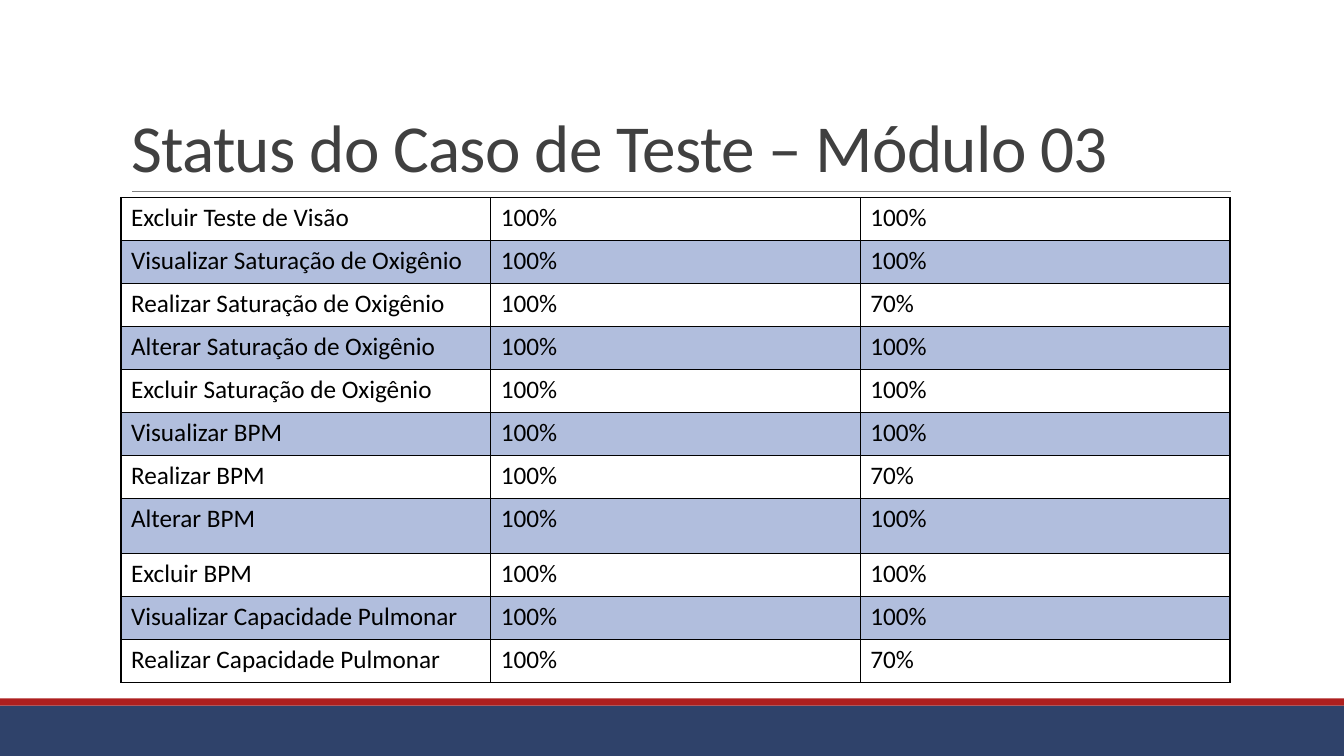
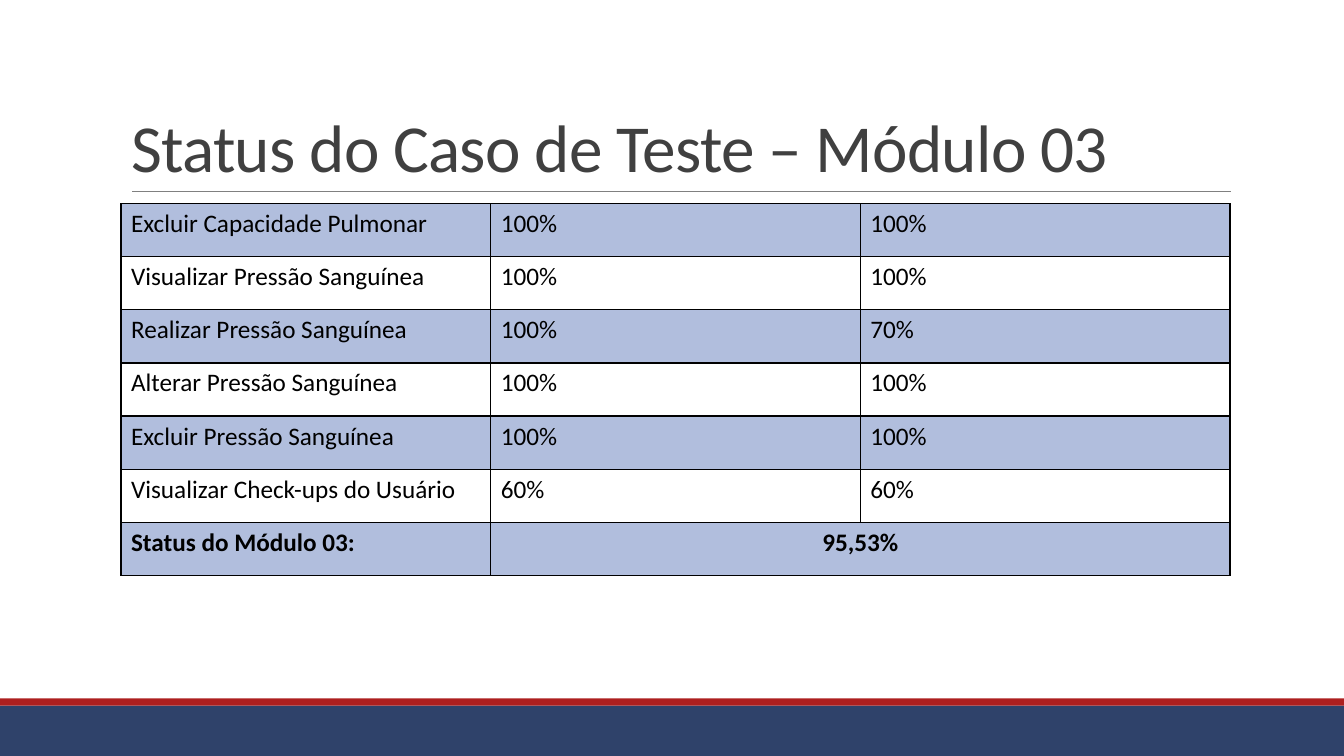
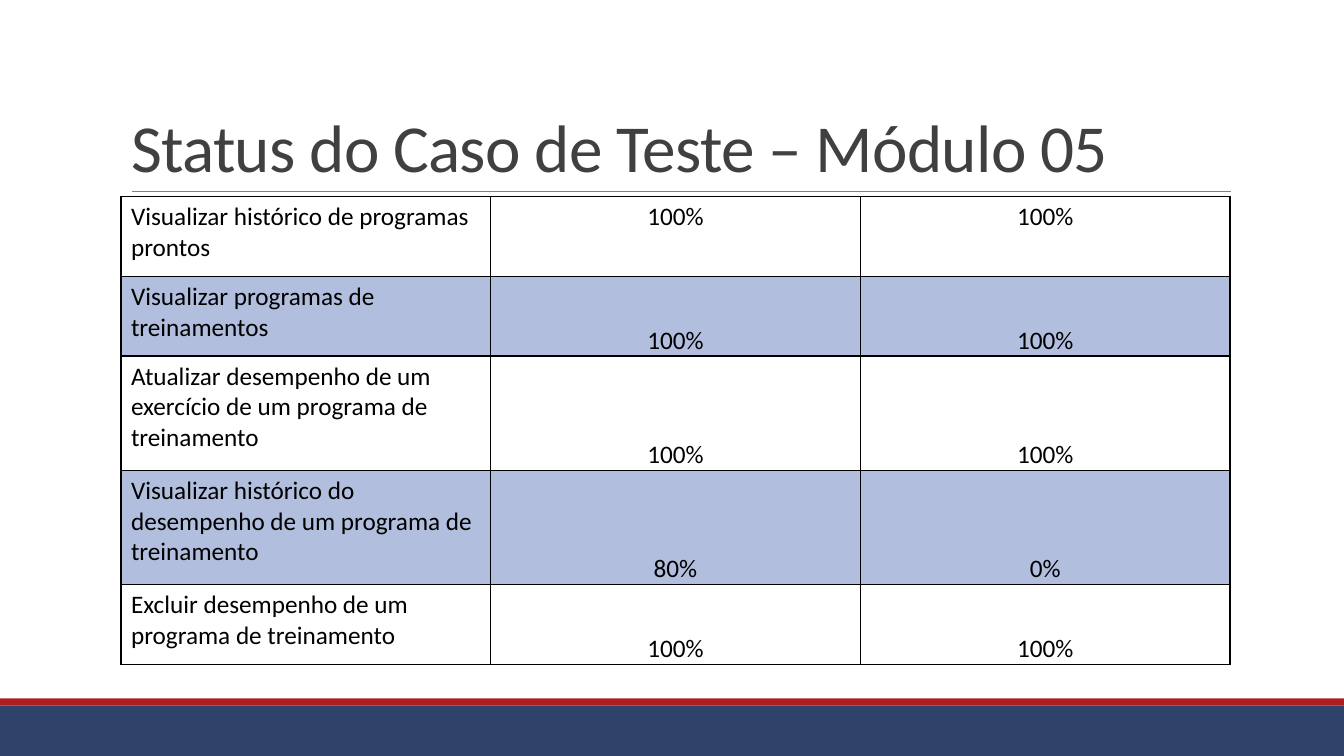
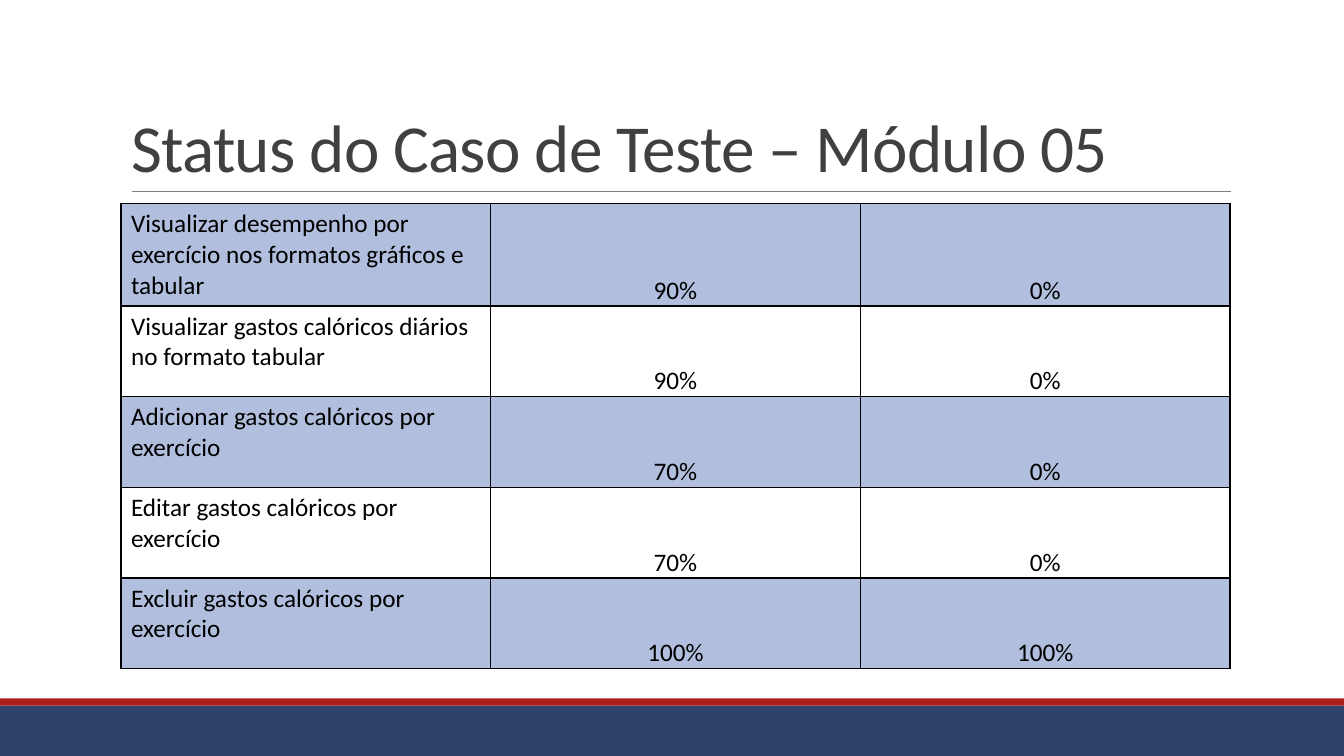
from lxml import etree
from pptx import Presentation
from pptx.dml.color import RGBColor
from pptx.enum.shapes import MSO_CONNECTOR, MSO_SHAPE
from pptx.enum.text import MSO_ANCHOR, MSO_AUTO_SIZE, PP_ALIGN
from pptx.oxml.ns import qn
from pptx.util import Inches, Pt

STRAIGHT, RECTANGLE = MSO_CONNECTOR.STRAIGHT, MSO_SHAPE.RECTANGLE
TOP, BOTTOM = MSO_ANCHOR.TOP, MSO_ANCHOR.BOTTOM
LEFT, CENTER = PP_ALIGN.LEFT, PP_ALIGN.CENTER
NO_FIT = MSO_AUTO_SIZE.NONE

NAVY = RGBColor(0x2F, 0x42, 0x6A)
RED = RGBColor(0xAD, 0x1F, 0x1F)
GRAY = RGBColor(0x80, 0x80, 0x80)
CHARCOAL = RGBColor(0x40, 0x40, 0x40)
BLACK = RGBColor(0, 0, 0)
LAVENDER = RGBColor(0xB1, 0xBE, 0xDD)
FONT = "Calibri"

SLIDE_W, SLIDE_H = 13.33, 7.5
MARGIN, CONTENT_W = 1.2, 11
RULE_Y = 1.9
TITLE_H = 1.59
BANDS = [(7, 0.5, NAVY), (6.93, 0.07, RED)]
TIGHT_INSET = 0.01

STATUS_SLIDES = [
    {
        "title": "Status do Caso de Teste – Módulo 03",
        "top": 1.96, "height": 4.81,
        "row_shares": [0.43] * 7 + [0.55] + [0.43] * 3,
        "first_shaded": 1, "align": LEFT, "low_from": None,
        "rows": [
            ("Excluir Teste de Visão", "100%", "100%"),
            ("Visualizar Saturação de Oxigênio", "100%", "100%"),
            ("Realizar Saturação de Oxigênio", "100%", "70%"),
            ("Alterar Saturação de Oxigênio", "100%", "100%"),
            ("Excluir Saturação de Oxigênio", "100%", "100%"),
            ("Visualizar BPM", "100%", "100%"),
            ("Realizar BPM", "100%", "70%"),
            ("Alterar BPM", "100%", "100%"),
            ("Excluir BPM", "100%", "100%"),
            ("Visualizar Capacidade Pulmonar", "100%", "100%"),
            ("Realizar Capacidade Pulmonar", "100%", "70%"),
        ],
    },
    {
        "title": "Status do Caso de Teste – Módulo 03",
        "top": 2.02, "height": 3.69,
        "row_shares": [1] * 7,
        "first_shaded": 0, "align": LEFT, "low_from": None,
        "rows": [
            ("Excluir Capacidade Pulmonar", "100%", "100%"),
            ("Visualizar Pressão Sanguínea", "100%", "100%"),
            ("Realizar Pressão Sanguínea", "100%", "70%"),
            ("Alterar Pressão Sanguínea", "100%", "100%"),
            ("Excluir Pressão Sanguínea", "100%", "100%"),
            ("Visualizar Check-ups do Usuário", "60%", "60%"),
            ("Status do Módulo 03:", "95,53%"),
        ],
    },
    {
        "title": "Status do Caso de Teste – Módulo 05",
        "top": 1.95, "height": 4.64,
        "row_shares": [0.79, 0.79, 1.13, 1.13, 0.79],
        "first_shaded": 1, "align": CENTER, "low_from": 1,
        "rows": [
            ("Visualizar histórico de programas prontos", "100%", "100%"),
            ("Visualizar programas de treinamentos", "100%", "100%"),
            ("Atualizar desempenho de um exercício de um programa de treinamento", "100%", "100%"),
            ("Visualizar histórico do desempenho de um programa de treinamento", "80%", "0%"),
            ("Excluir desempenho de um programa de treinamento", "100%", "100%"),
        ],
    },
    {
        "title": "Status do Caso de Teste – Módulo 05",
        "top": 2.02, "height": 4.61,
        "row_shares": [1.01] + [0.9] * 4,
        "first_shaded": 0, "align": CENTER, "low_from": 0,
        "rows": [
            ("Visualizar desempenho por exercício nos formatos gráficos e tabular", "90%", "0%"),
            ("Visualizar gastos calóricos diários no formato tabular", "90%", "0%"),
            ("Adicionar gastos calóricos por exercício", "70%", "0%"),
            ("Editar gastos calóricos por exercício", "70%", "0%"),
            ("Excluir gastos calóricos por exercício", "100%", "100%"),
        ],
    },
]


def decorate_layout(layout, slide):
    for placeholder in list(layout.placeholders):
        if placeholder.placeholder_format.idx:
            placeholder.element.getparent().remove(placeholder.element)
    decorations = []
    for top, height, color in BANDS:
        band = slide.shapes.add_shape(
            RECTANGLE, 0, Inches(top), Inches(SLIDE_W), Inches(height))
        band.shadow.inherit = False
        band.fill.solid()
        band.fill.fore_color.rgb = color
        band.line.fill.background()
        decorations.append(band)
    rule = slide.shapes.add_connector(
        STRAIGHT, Inches(1.31), Inches(RULE_Y), Inches(12.21), Inches(RULE_Y))
    rule.line.color.rgb = GRAY
    rule.line.width = Pt(0.5)
    etree.SubElement(rule.element.spPr, qn("a:effectLst"))
    for decoration in decorations + [rule]:
        layout.shapes.element.append(decoration.element)


def set_title(slide, text):
    title = slide.shapes.title
    title.left, title.top = Inches(MARGIN), Inches(RULE_Y - TITLE_H)
    title.width, title.height = Inches(CONTENT_W), Inches(TITLE_H)
    frame = title.text_frame
    frame.text = text
    frame.auto_size = NO_FIT
    frame.vertical_anchor = BOTTOM
    paragraph = frame.paragraphs[0]
    paragraph.alignment = LEFT
    paragraph.line_spacing = 0.85
    paragraph.font.name = FONT
    paragraph.font.size = Pt(48)
    paragraph.font.color.rgb = CHARCOAL
    paragraph.runs[0].font._element.set("spc", "-50")


def set_borders(cell):
    properties = cell._tc.get_or_add_tcPr()
    for side in ("lnL", "lnR", "lnT", "lnB"):
        border = etree.SubElement(properties, qn(f"a:{side}"), w=str(Pt(1)))
        fill = etree.SubElement(border, qn("a:solidFill"))
        etree.SubElement(fill, qn("a:srgbClr"), val=str(BLACK))


def fill_cell(cell, text, align, bold):
    cell.text = text
    paragraph = cell.text_frame.paragraphs[0]
    paragraph.alignment = align
    paragraph.font.name = FONT
    paragraph.font.size = Pt(18)
    paragraph.font.bold = bold
    paragraph.font.color.rgb = BLACK


def add_status_table(slide, status):
    rows, shares = status["rows"], status["row_shares"]
    columns = len(rows[0])
    table = slide.shapes.add_table(
        len(rows), columns, Inches(MARGIN), Inches(status["top"]),
        Inches(CONTENT_W), Inches(status["height"])).table
    table.first_row = table.horz_banding = False
    for r, values in enumerate(rows):
        table.rows[r].height = Inches(status["height"] * shares[r] / sum(shares))
        is_total = len(values) < columns
        is_low = status["low_from"] is not None and r >= status["low_from"]
        for c in range(columns):
            cell = table.cell(r, c)
            set_borders(cell)
            if r % 2 == status["first_shaded"]:
                cell.fill.solid()
                cell.fill.fore_color.rgb = LAVENDER
            else:
                cell.fill.background()
            cell.vertical_anchor = TOP
            if is_low and c:
                cell.vertical_anchor = BOTTOM
                cell.margin_left = cell.margin_right = cell.margin_top = Inches(TIGHT_INSET)
                cell.margin_bottom = 0
        if is_total:
            table.cell(r, 1).merge(table.cell(r, columns - 1))
        for c, text in enumerate(values):
            value_align = CENTER if is_total else status["align"]
            fill_cell(table.cell(r, c), text, value_align if c else LEFT, is_total)


def main():
    deck = Presentation()
    deck.slide_width, deck.slide_height = Inches(SLIDE_W), Inches(SLIDE_H)
    title_only = deck.slide_layouts[5]
    for number, status in enumerate(STATUS_SLIDES):
        slide = deck.slides.add_slide(title_only)
        if number == 0:
            decorate_layout(title_only, slide)
        set_title(slide, status["title"])
        add_status_table(slide, status)
    deck.save("out.pptx")


if __name__ == "__main__":
    main()
